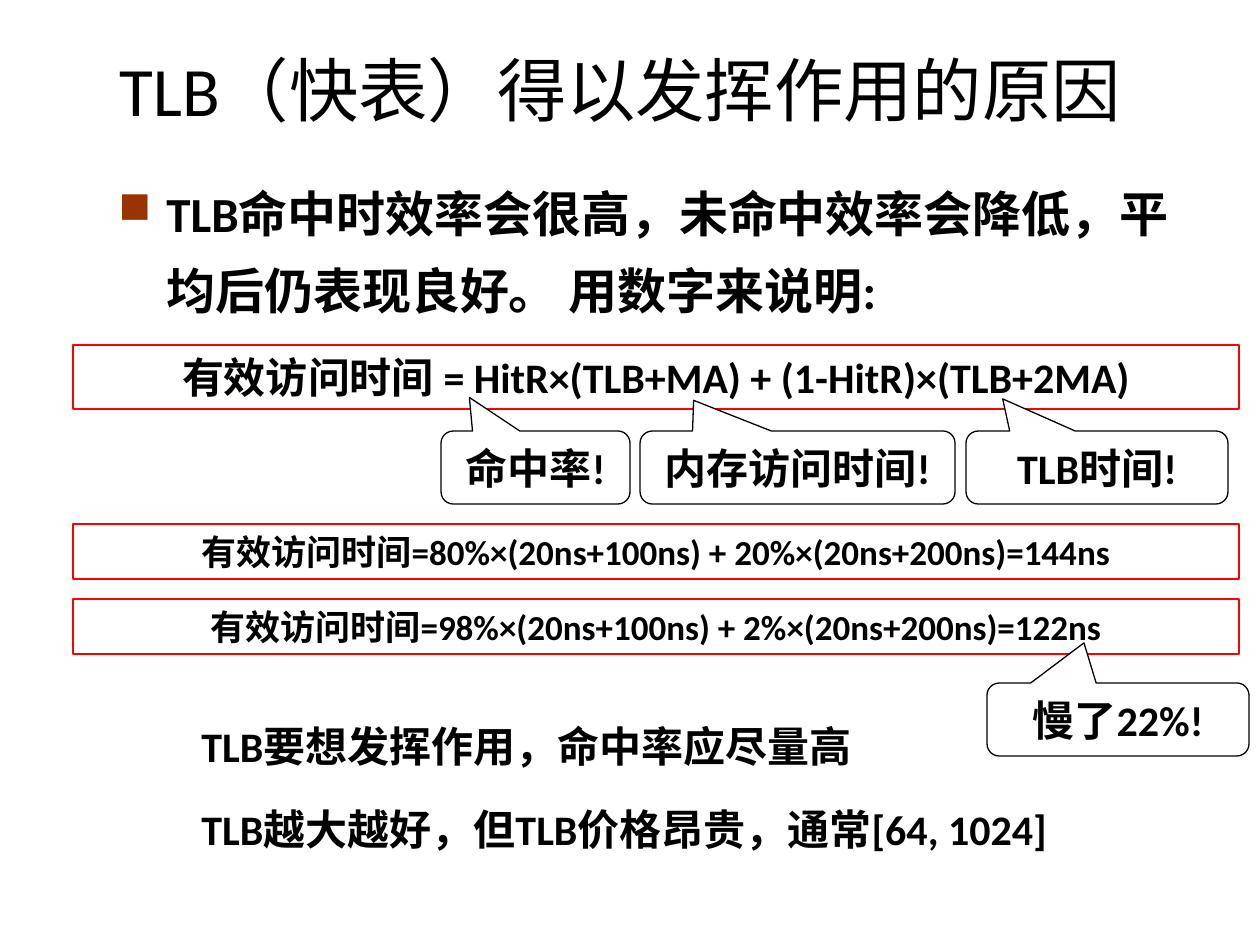
from lxml import etree
from pptx import Presentation
from pptx import util as u
from pptx.dml.color import RGBColor
from pptx.enum import shapes, text
from pptx.oxml.ns import qn

PX = 914400 / 126
FONT = "Calibri"
COLORS = {"ink": "000000", "paper": "FFFFFF", "frame": "FF0000", "bullet": "993300"}
HALF_TURN = 180


def px(length):
    return u.Emu(round(length * PX))


def color(name):
    return RGBColor.from_string(COLORS[name])


def write(shape, words, size, bold=True, align=text.PP_ALIGN.LEFT,
          anchor=text.MSO_ANCHOR.TOP, spacing=None):
    """Fill a shape with one styled paragraph and return the paragraph."""
    frame = shape.text_frame
    frame.word_wrap = True
    frame.vertical_anchor = anchor
    frame.text = words
    para = frame.paragraphs[0]
    para.alignment = align
    para.line_spacing = spacing
    for span in para.runs:
        span.font.name = FONT
        span.font.size = u.Pt(size)
        span.font.bold = bold
        span.font.color.rgb = color("ink")
    return para


def set_indent(para, left, first=0):
    properties = para._p.get_or_add_pPr()
    properties.set("marL", str(px(left)))
    properties.set("indent", str(px(first)))
    return properties


def add_bullet(para, mark, percent):
    properties = set_indent(para, 48, -48)
    tint = etree.SubElement(properties, qn("a:buClr"))
    etree.SubElement(tint, qn("a:srgbClr"), val=COLORS["bullet"])
    etree.SubElement(properties, qn("a:buSzPct"), val=str(percent * 1000))
    etree.SubElement(properties, qn("a:buChar"), char=mark)


def add_text(page, place, words, size, **style):
    box = page.shapes.add_textbox(*map(px, place))
    return write(box, words, size, **style)


def add_outlined(page, kind, place, line):
    shape = page.shapes.add_shape(kind, *map(px, place))
    shape.shadow.inherit = False
    shape.fill.background()
    shape.line.color.rgb = color(line)
    shape.line.width = u.Pt(0.75)
    return shape


def add_formula(page, top, height, words, size):
    box = add_outlined(page, shapes.MSO_SHAPE.RECTANGLE, (73, top, 1166, height), "frame")
    write(box, words, size, align=text.PP_ALIGN.CENTER)


def add_callout(page, left, top, width, words, tip):
    """Callout turned upside down so that its tip points up, with upright text."""
    kind = shapes.MSO_SHAPE.ROUNDED_RECTANGULAR_CALLOUT
    callout = add_outlined(page, kind, (left, top, width, 73), "ink")
    callout.fill.solid()
    callout.fill.fore_color.rgb = color("paper")
    callout.rotation = HALF_TURN
    callout.adjustments[0], callout.adjustments[1] = tip
    write(callout, words, 24, align=text.PP_ALIGN.CENTER, anchor=text.MSO_ANCHOR.MIDDLE)
    callout.text_frame._txBody.bodyPr.set("rot", str(HALF_TURN * 60000))


def main():
    deck = Presentation()
    deck.slide_width, deck.slide_height = px(1260), px(945)
    page = deck.slides.add_slide(deck.slide_layouts[6])

    add_text(page, (53, 42, 1134, 93), "TLB（快表）得以发挥作用的原因", 39.6, bold=False,
             align=text.PP_ALIGN.CENTER, anchor=text.MSO_ANCHOR.MIDDLE)
    claim = add_text(page, (106, 160, 1113, 120),
                     "TLB命中时效率会很高，未命中效率会降低，平均后仍表现良好。 用数字来说明:",
                     28, spacing=1.3)
    add_bullet(claim, "■", 90)

    add_formula(page, 345, 64, "有效访问时间 = HitR×(TLB+MA) + (1-HitR)×(TLB+2MA)", 24)
    for left, width, words, tip in (
        (441, 189, "命中率!", (0.35, 0.96)),
        (640, 315, "内存访问时间!", (0.33, 0.92)),
        (966, 262, "TLB时间!", (0.36, 0.94)),
    ):
        add_callout(page, left, 431, width, words, tip)

    for row, (hit, miss, total) in enumerate(((80, 20, 144), (98, 2, 122))):
        add_formula(page, 524 + 75 * row, 55,
                    f"有效访问时间={hit}%×(20ns+100ns) + {miss}%×(20ns+200ns)={total}ns", 20)
    add_callout(page, 987, 683, 262, "慢了22%!", (0.13, 1.05))

    for row, words in enumerate(("TLB要想发挥作用，命中率应尽量高",
                                 "TLB越大越好，但TLB价格昂贵，通常[64, 1024]")):
        note = add_text(page, (126, 694 + 83 * row, 1019, 83), words, 24, spacing=1.4)
        set_indent(note, 63)

    deck.save("out.pptx")


if __name__ == "__main__":
    main()
